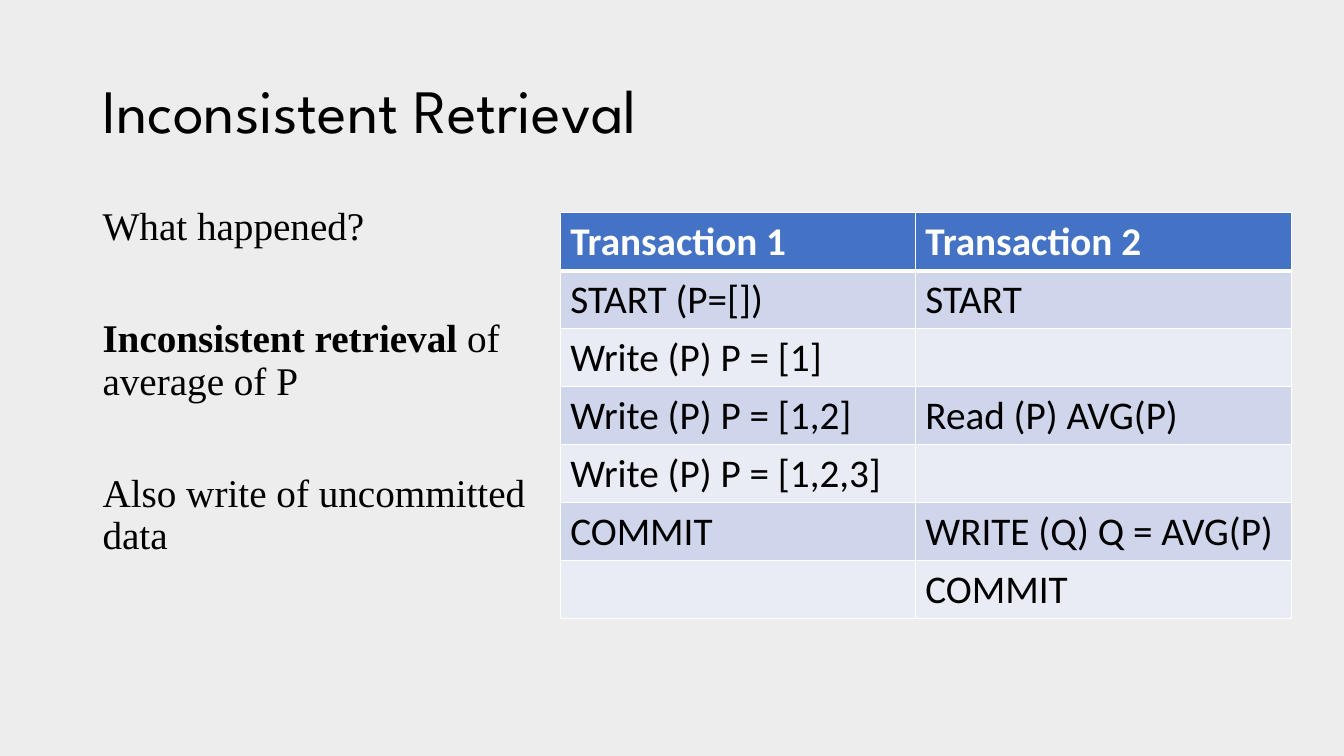
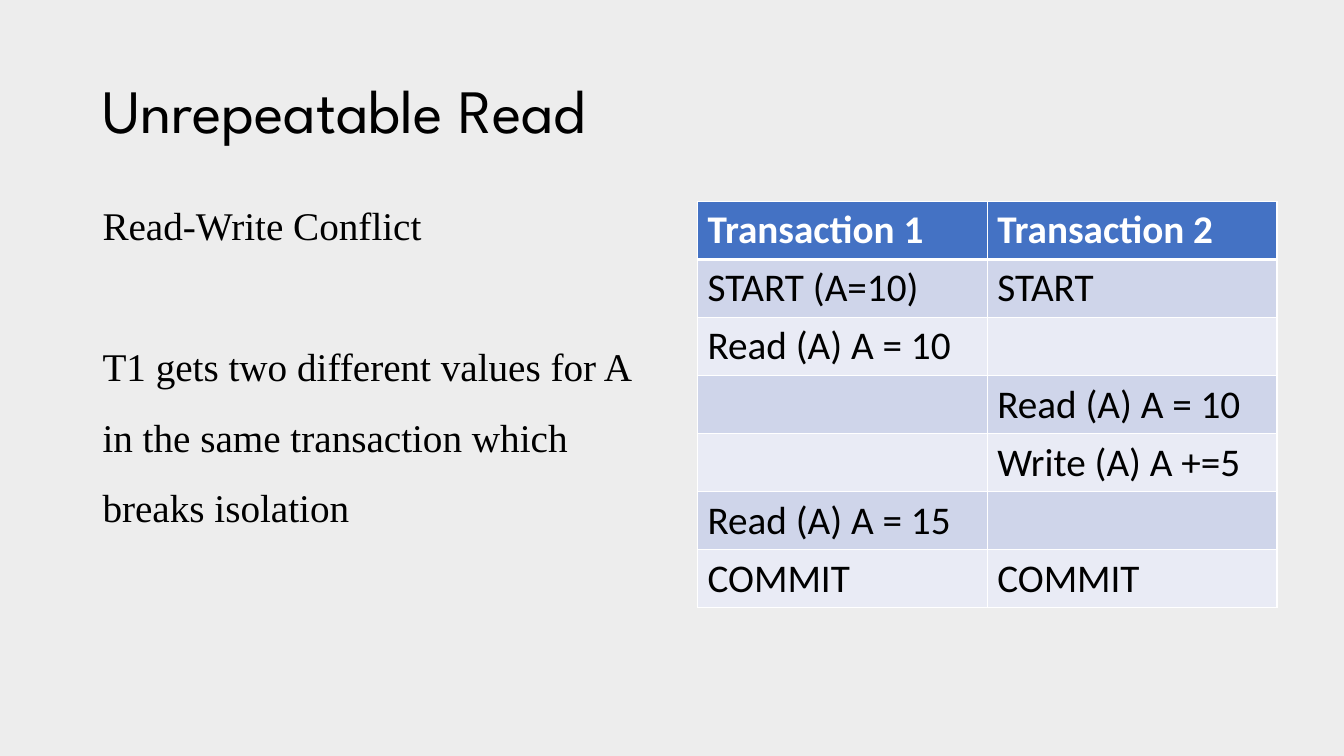
from dataclasses import dataclass

from lxml import etree
from pptx import Presentation
from pptx.dml.color import RGBColor
from pptx.enum import text as t
from pptx.oxml import ns, parse_xml
from pptx.util import Cm, Pt


@dataclass(frozen=True)
class Theme:
    background: str = "EDEDED"
    ink: str = "000000"
    white: str = "FFFFFF"
    header: str = "4472C4"
    bands: tuple = ("CFD5EA", "E9EBF5")
    title_font: str = "League Spartan"
    body_font: str = "Times New Roman"
    table_font: str = "Calibri"
    title_size: int = 44
    text_size: int = 28


def add_span(para, text, *, font, size, color, bold=False):
    span = para.add_run()
    span.text = text
    span.font.name = font
    span.font.size = Pt(size)
    span.font.bold = bold
    span.font.color.rgb = RGBColor.from_string(color)


def set_borders(cell, color, widths):
    """Draw cell borders; widths are points for left, right, top and bottom."""
    properties = cell._tc.get_or_add_tcPr()
    for side, width in zip("LRTB", widths):
        properties.append(parse_xml(
            f'<a:ln{side} {ns.nsdecls("a")} w="{Pt(width)}"><a:solidFill>'
            f'<a:srgbClr val="{color}"/></a:solidFill></a:ln{side}>'))


class Lecture:
    LEFT, BODY_TOP = 2.33, 5.08
    ROW_HEIGHT = 1.46

    def __init__(self, theme):
        self.theme = theme
        self.deck = Presentation()
        self.deck.slide_width, self.deck.slide_height = Cm(33.87), Cm(19.05)
        fill = self.deck.slide_master.background.fill
        fill.solid()
        fill.fore_color.rgb = RGBColor.from_string(theme.background)
        self.page = None

    def place(self, box, top, width, height, anchor):
        box.left, box.top = Cm(self.LEFT), Cm(top)
        box.width, box.height = Cm(width), Cm(height)
        frame = box.text_frame
        frame.word_wrap = True
        frame.auto_size = t.MSO_AUTO_SIZE.NONE
        frame.vertical_anchor = anchor
        return frame

    def add_page(self, title):
        self.page = self.deck.slides.add_slide(self.deck.slide_layouts[1])
        frame = self.place(self.page.shapes.title, 1.01, 29.21, 3.68,
                           t.MSO_ANCHOR.MIDDLE)
        para = frame.paragraphs[0]
        para.alignment = t.PP_ALIGN.LEFT
        para.line_spacing = 0.9
        add_span(para, title, font=self.theme.title_font,
                 size=self.theme.title_size, color=self.theme.ink)

    def add_body(self, width, paragraphs):
        """Each paragraph is a line spacing and a list of (text, bold) pairs."""
        frame = self.place(self.page.placeholders[1], self.BODY_TOP, width,
                           12.09, t.MSO_ANCHOR.TOP)
        for index, (spacing, spans) in enumerate(paragraphs):
            para = frame.add_paragraph() if index else frame.paragraphs[0]
            properties = para._p.get_or_add_pPr()
            properties.set("marL", "0")
            properties.set("indent", "0")
            etree.SubElement(properties, ns.qn("a:buNone"))
            para.line_spacing = spacing
            para.space_before = Pt(50 if index else 0)
            for text, bold in spans:
                add_span(para, text, font=self.theme.body_font,
                         size=self.theme.text_size, color=self.theme.ink,
                         bold=bold)

    def add_schedule(self, left, top, widths, steps):
        """Add a table of two transactions, one step in each row."""
        theme = self.theme
        rows = [("Transaction 1", "Transaction 2"), *steps]
        table = self.page.shapes.add_table(
            len(rows), len(widths), Cm(left), Cm(top), Cm(sum(widths)),
            Cm(self.ROW_HEIGHT * len(rows))).table
        for column, width in zip(table.columns, widths):
            column.width = Cm(width)
        for r, texts in enumerate(rows):
            table.rows[r].height = Cm(self.ROW_HEIGHT)
            is_header = r == 0
            fill = theme.header if is_header else theme.bands[(r - 1) % 2]
            borders = (1, 1, 3 if r == 1 else 1, 3 if is_header else 1)
            for c, text in enumerate(texts):
                cell = table.cell(r, c)
                set_borders(cell, theme.white, borders)
                cell.fill.solid()
                cell.fill.fore_color.rgb = RGBColor.from_string(fill)
                if text:
                    add_span(cell.text_frame.paragraphs[0], text,
                             font=theme.table_font, size=theme.text_size,
                             color=theme.white if is_header else theme.ink,
                             bold=is_header)


def main():
    lecture = Lecture(Theme())

    lecture.add_page("Inconsistent Retrieval")
    lecture.add_body(11.27, [
        (0.9, [("What happened?", False)]),
        (0.9, [("Inconsistent retrieval", True), (" of average of P", False)]),
        (0.9, [("Also write of uncommitted data", False)]),
    ])
    lecture.add_schedule(14.12, 5.36, (8.95, 9.47), [
        ("START (P=[])", "START"),
        ("Write (P) P = [1]", ""),
        ("Write (P) P = [1,2]", "Read (P) AVG(P)"),
        ("Write (P) P = [1,2,3]", ""),
        ("COMMIT", "WRITE (Q) Q = AVG(P)"),
        ("", "COMMIT"),
    ])

    lecture.add_page("Unrepeatable Read")
    lecture.add_body(14.68, [
        (0.9, [("Read-Write Conflict", False)]),
        (1.5, [("T1 gets two different values for A in the same transaction "
                "which breaks isolation", False)]),
    ])
    lecture.add_schedule(17.58, lecture.BODY_TOP, (7.3, 7.3), [
        ("START (A=10)", "START"),
        ("Read (A) A = 10", ""),
        ("", "Read (A) A = 10"),
        ("", "Write (A) A +=5"),
        ("Read (A) A = 15", ""),
        ("COMMIT", "COMMIT"),
    ])

    lecture.deck.save("out.pptx")


if __name__ == "__main__":
    main()
